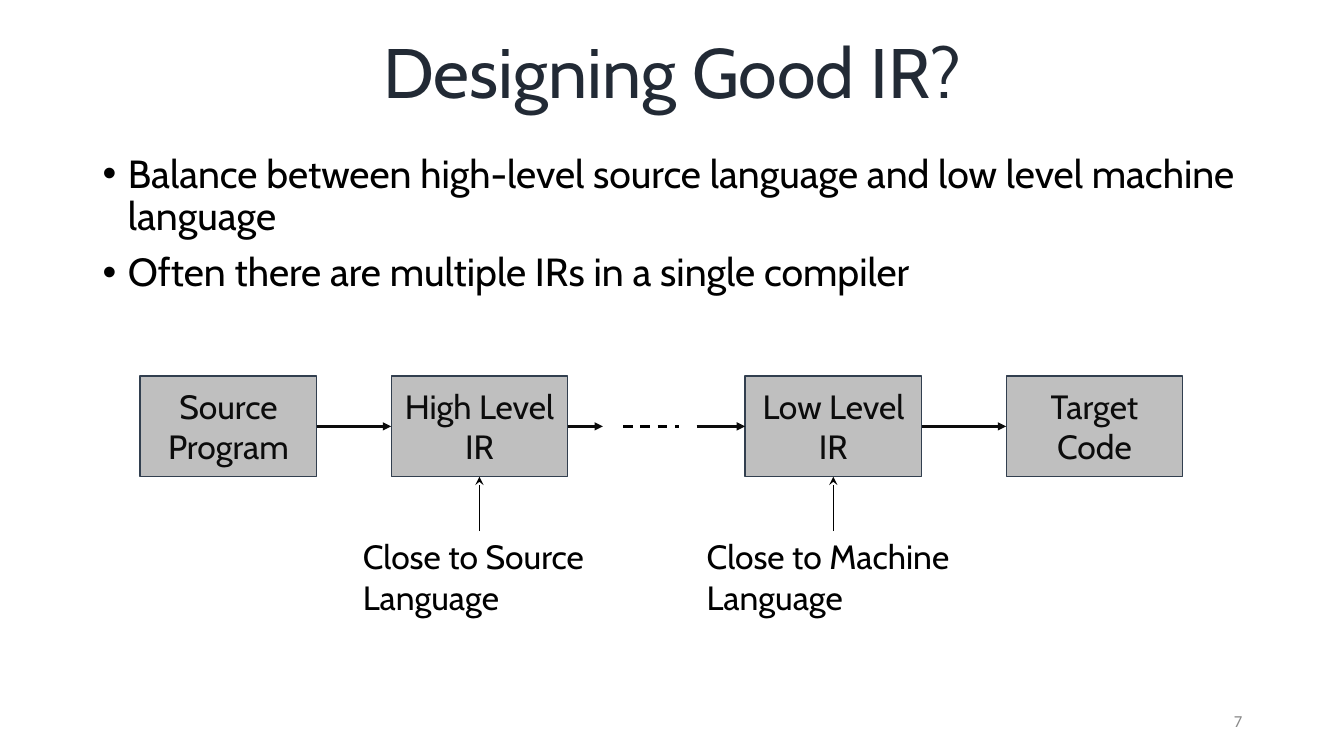
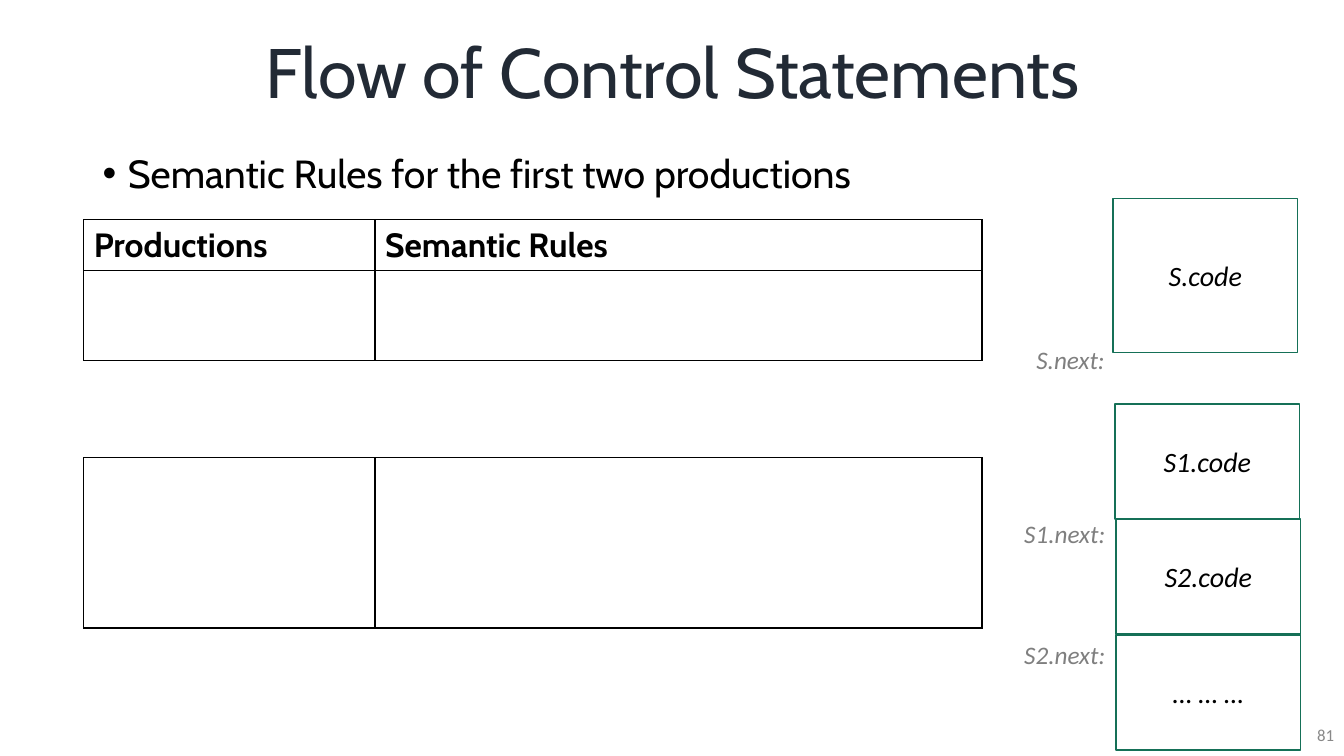
import pptx
import pptx.util
import pptx.dml.color
import pptx.enum.dml
import pptx.enum.shapes
import pptx.enum.text
import pptx.oxml
import pptx.oxml.ns

Inches = pptx.util.Inches
Pt = pptx.util.Pt
ALIGN = pptx.enum.text.PP_ALIGN
ANCHOR = pptx.enum.text.MSO_ANCHOR

# Shared style
HEADING_FONT, CODE_FONT = "Cabin", "Calibri"
BLACK, INK, TITLE = "000000", "0C0C0C", "222A35"
BOX_FILL, BOX_LINE, CODE_LINE = "BFBFBF", "323F4F", "157057"
NUMBER_GRAY, LABEL_GRAY = "888888", "7F7F7F"


def color(value):
    return pptx.dml.color.RGBColor.from_string(value)


def element(xml):
    """Parse a DrawingML element, adding the namespace to its root tag."""
    tag, rest = xml[1:].split(" ", 1)
    return pptx.oxml.parse_xml(f"<{tag} {pptx.oxml.ns.nsdecls('a')} {rest}")


def write(frame, *lines, size=24, font=HEADING_FONT, ink=BLACK, bold=False, italic=False,
          align=ALIGN.LEFT, anchor=ANCHOR.TOP, spacing=None, gap=0, bullet=False,
          shadow=False):
    """Fill a text frame with one formatted paragraph per line."""
    frame.word_wrap = True
    frame.vertical_anchor = anchor
    for index, line in enumerate(lines):
        para = frame.add_paragraph() if index else frame.paragraphs[0]
        para.alignment = align
        para.line_spacing = spacing
        para.space_before = Pt(gap if index else 0)
        span = para.add_run()
        span.text = line
        span.font.size, span.font.name = Pt(size), font
        span.font.bold, span.font.italic = bold, italic
        span.font.color.rgb = color(ink)
        if bullet:
            properties = para._p.get_or_add_pPr()
            properties.set("marL", str(Inches(0.25)))
            properties.set("indent", str(-Inches(0.25)))
            properties.append(element('<a:buFont typeface="Arial"/>'))
            properties.append(element('<a:buChar char="•"/>'))
        if shadow:
            fill = span._r.rPr.find(pptx.oxml.ns.qn("a:solidFill"))
            fill.addnext(element(
                '<a:effectLst ><a:outerShdw blurRad="38100" dist="38100" dir="2700000" algn="tl">'
                '<a:srgbClr val="000000"><a:alpha val="43000"/></a:srgbClr>'
                '</a:outerShdw></a:effectLst>'))


def add_text(page, left, top, width, height, *lines, **style):
    box = page.shapes.add_textbox(Inches(left), Inches(top), Inches(width), Inches(height))
    write(box.text_frame, *lines, **style)


def add_box(page, left, top, width, height, text, line, fill=None, **style):
    box = page.shapes.add_shape(pptx.enum.shapes.MSO_SHAPE.RECTANGLE, Inches(left),
                                Inches(top), Inches(width), Inches(height))
    box.shadow.inherit = False
    if fill:
        box.fill.solid()
        box.fill.fore_color.rgb = color(fill)
    else:
        box.fill.background()
    box.line.color.rgb = color(line)
    box.line.width = Pt(1)
    write(box.text_frame, text, align=ALIGN.CENTER, anchor=ANCHOR.MIDDLE, **style)


def add_line(page, start, end, ink=INK, width=1.75, head=None, dashed=False):
    line = page.shapes.add_connector(pptx.enum.shapes.MSO_CONNECTOR.STRAIGHT,
                                     *map(Inches, start + end))
    line.line.color.rgb = color(ink)
    line.line.width = Pt(width)
    if dashed:
        line.line.dash_style = pptx.enum.dml.MSO_LINE.DASH
    if head:
        line.line._get_or_add_ln().append(element(f'<a:tailEnd type="{head}"/>'))
    line._element.spPr.append(element("<a:effectLst />"))


def add_table(page, left, top, columns, rows, headings=()):
    """Add a ruled, unfilled table whose first row holds the headings."""
    table = page.shapes.add_table(len(rows), len(columns), Inches(left), Inches(top),
                                  Inches(sum(columns)), Inches(sum(rows))).table
    table.first_row = table.horz_banding = False
    for column, width in zip(table.columns, columns):
        column.width = Inches(width)
    for row, height in zip(table.rows, rows):
        row.height = Inches(height)
    for cell in table.iter_cells():
        properties = cell._tc.get_or_add_tcPr()
        for side in "LRTB":
            properties.append(element(
                f'<a:ln{side} w="{Pt(1)}"><a:solidFill><a:srgbClr val="{BLACK}"/>'
                f'</a:solidFill></a:ln{side}>'))
        cell.fill.background()
    for index, heading in enumerate(headings):
        cell = table.cell(0, index)
        cell.margin_left = cell.margin_right = Inches(0.1)
        write(cell.text_frame, heading, bold=True)


def add_page(deck, title, bullets, number, number_at):
    """Start a slide with its title, bullet list and page number."""
    page = deck.slides.add_slide(deck.slide_layouts[6])
    add_text(page, 0.92, 0.03, 11.5, 1.45, title, size=50, ink=TITLE, spacing=0.9,
             align=ALIGN.CENTER, anchor=ANCHOR.MIDDLE, shadow=True)
    add_text(page, 0.92, 1.48, 11.5, 5.28, *bullets, size=28, spacing=0.9, gap=10,
             bullet=True)
    add_text(page, *number_at, 3, 0.4, number, size=12, font=CODE_FONT, ink=NUMBER_GRAY,
             align=ALIGN.RIGHT, anchor=ANCHOR.MIDDLE)
    return page


def build_ir_page(deck):
    page = add_page(deck, "Designing Good IR?", [
        "Balance between high-level source language and low level machine language",
        "Often there are multiple IRs in a single compiler"], "7", (9.42, 6.95))

    # Compiler stages
    top, width, height = 3.73, 1.75, 1
    source, high, low, target = 1.39, 3.88, 7.39, 9.98
    for left, text in ((source, "Source Program"), (high, "High Level IR"),
                       (low, "Low Level IR"), (target, "Target Code")):
        add_box(page, left, top, width, height, text, BOX_LINE, BOX_FILL, ink=INK)

    # Flow between stages
    middle, bottom = top + height / 2, top + height
    for start, end in ((source + width, high), (low + width, target),
                       (high + width, 5.98), (6.91, low)):
        add_line(page, (start, middle), (end, middle), head="triangle")
    add_line(page, (6.18, middle), (6.73, middle), ink=BLACK, dashed=True)

    # Notes under the two IR stages
    note_top = 5.27
    for stage, left, note_width, text in ((high, 3.5, 2.48, "Close to Source"),
                                          (low, 6.91, 2.71, "Close to Machine")):
        add_text(page, left, note_top, note_width, 0.91, text, "Language")
        center = stage + width / 2
        add_line(page, (center, note_top), (center, bottom), ink=BLACK, width=0.75,
                 head="stealth")


def build_flow_page(deck):
    page = add_page(deck, "Flow of Control Statements",
                    ["Semantic Rules for the first two productions"], "81", (10.33, 7.09))

    # Production tables
    columns = (2.89, 6.02)
    add_table(page, 0.83, 2.18, columns, (0.5, 0.9), ("Productions", "Semantic Rules"))
    add_table(page, 0.83, 4.54, columns, (1.69,))

    # Code layout blocks
    for left, top, height, text in ((11.04, 1.97, 1.53, "S.code"),
                                    (11.06, 4.01, 1.14, "S1.code"),
                                    (11.07, 5.15, 1.14, "S2.code"),
                                    (11.07, 6.3, 1.14, "… … …")):
        add_box(page, left, top, 1.83, height, text, CODE_LINE, size=20, font=CODE_FONT,
                italic=True)

    # Labels beside the blocks
    for left, top, width, text in ((10.18, 3.37, 0.99, "S.next:"),
                                   (10.06, 5.09, 1.2, "S1.next:"),
                                   (10.06, 6.29, 1.2, "S2.next:")):
        add_text(page, left, top, width, 0.4, text, size=18, font=CODE_FONT,
                 ink=LABEL_GRAY, italic=True)


def main():
    deck = pptx.Presentation()
    deck.slide_width, deck.slide_height = Inches(13.33), Inches(7.5)
    build_ir_page(deck)
    build_flow_page(deck)
    deck.save("out.pptx")


if __name__ == "__main__":
    main()
